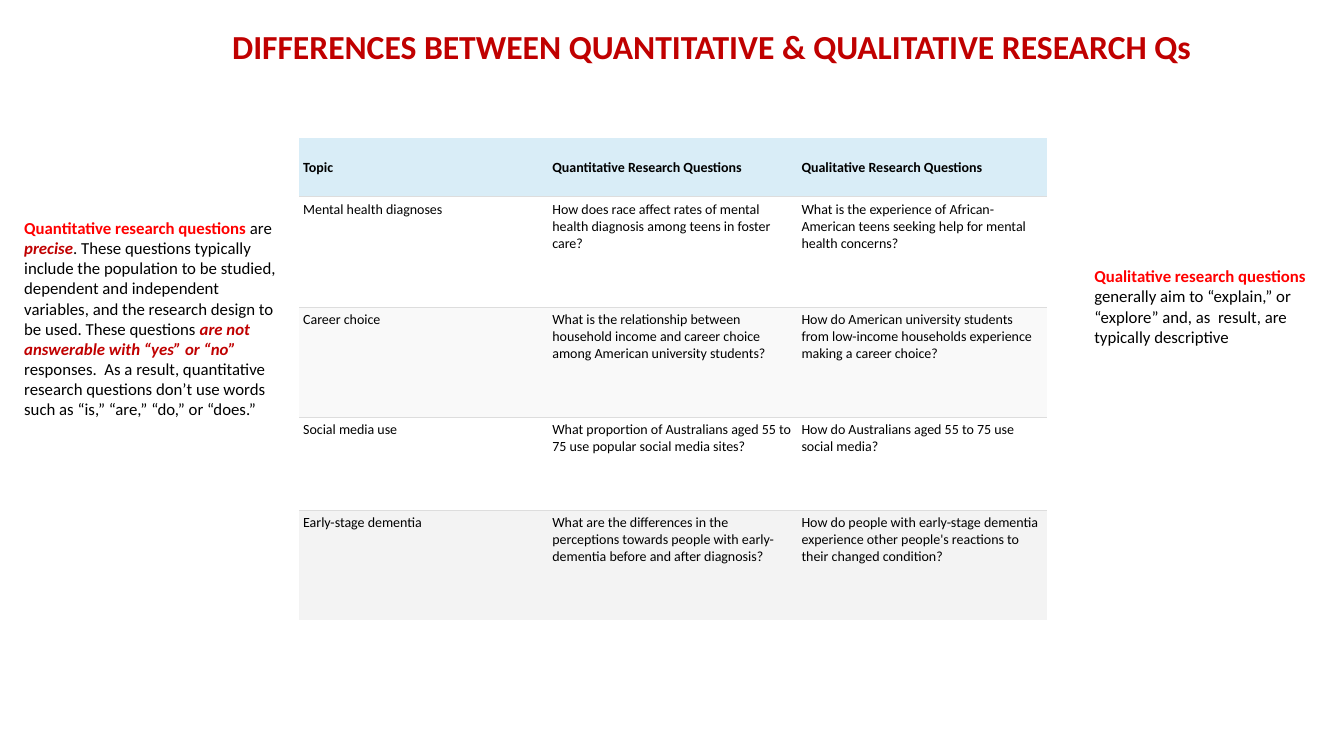
import pptx
import pptx.util
import pptx.dml.color
import pptx.enum.text
import pptx.oxml.ns
import lxml.etree

Cm = pptx.util.Cm
RED, DARK, BLACK, LINE = "FF0000", "C00000", "000000", "DDDDDD"


def color(code):
    return pptx.dml.color.RGBColor.from_string(code)


def write(para, text, size=12, fill=BLACK, bold=False, slant=False):
    run = para.add_run()
    run.text = text
    font = run.font
    font.name, font.size = "Calibri", pptx.util.Pt(size)
    font.bold, font.italic = bold, slant
    font.color.rgb = color(fill)


def edge(cell, sides):
    """Draw a thin line on the given sides (T, B) and none on the others."""
    qn = pptx.oxml.ns.qn
    props = cell._tc.get_or_add_tcPr()
    for spot, side in enumerate("LRTB"):
        line = lxml.etree.Element(qn(f"a:ln{side}"), w="7620")
        if side in sides:
            fill = lxml.etree.SubElement(line, qn("a:solidFill"))
            lxml.etree.SubElement(fill, qn("a:srgbClr"), val=LINE)
        else:
            lxml.etree.SubElement(line, qn("a:noFill"))
        props.insert(spot, line)


class Page:
    def __init__(self, deck):
        self.shapes = deck.slides.add_slide(deck.slide_layouts[6]).shapes
        self.inset = Cm(0.1)

    def text(self, left, top, width, height, runs, wrap=True):
        box = self.shapes.add_textbox(Cm(left), Cm(top), Cm(width), Cm(height))
        frame = box.text_frame
        frame.word_wrap = wrap
        for words, style in runs:
            write(frame.paragraphs[0], words, **style)

    def table(self, left, top, width, heights, fills, rows):
        count = len(rows[0])
        table = self.shapes.add_table(
            len(rows), count, Cm(left), Cm(top), Cm(width), Cm(sum(heights))
        ).table
        table.horz_banding = False
        for col in table.columns:
            col.width = Cm(width / count)
        for r, words in enumerate(rows):
            table.rows[r].height = Cm(heights[r])
            sides = ("T" if r else "") + ("B" if r < len(rows) - 1 else "")
            for c, text in enumerate(words):
                self.cell(table.cell(r, c), text, fills[r], sides, r == 0)

    def cell(self, cell, text, fill, sides, head):
        anchor = pptx.enum.text.MSO_ANCHOR
        cell.fill.solid()
        cell.fill.fore_color.rgb = color(fill)
        cell.margin_left = cell.margin_right = self.inset
        cell.margin_top = cell.margin_bottom = self.inset
        cell.vertical_anchor = anchor.MIDDLE if head else anchor.TOP
        write(cell.text_frame.paragraphs[0], text, size=10, bold=head)
        edge(cell, sides)


def main():
    deck = pptx.Presentation()
    deck.slide_width, deck.slide_height = Cm(33.87), Cm(19.05)
    page = Page(deck)
    lead = dict(fill=RED, bold=True)
    stress = dict(fill=DARK, bold=True, slant=True)

    page.table(
        7.54, 3.48, 18.84,
        heights=[1.48, 2.78, 2.78, 2.33, 2.78],
        fills=["D9EDF7", "FFFFFF", "F9F9F9", "FFFFFF", "F3F3F3"],
        rows=[
            ("Topic", "Quantitative Research Questions",
             "Qualitative Research Questions"),
            ("Mental health diagnoses",
             "How does race affect rates of mental health diagnosis among "
             "teens in foster care?",
             "What is the experience of African-American teens seeking help "
             "for mental health concerns?"),
            ("Career choice",
             "What is the relationship between household income and career "
             "choice among American university students?",
             "How do American university students from low-income households "
             "experience making a career choice?"),
            ("Social media use",
             "What proportion of Australians aged 55 to 75 use popular social "
             "media sites?",
             "How do Australians aged 55 to 75 use social media?"),
            ("Early-stage dementia",
             "What are the differences in the perceptions towards people with "
             "early-dementia before and after diagnosis?",
             "How do people with early-stage dementia experience other "
             "people's reactions to their changed condition?"),
        ],
    )
    page.text(5.6, 0.54, 24.91, 1.28, [
        ("DIFFERENCES BETWEEN QUANTITATIVE & QUALITATIVE RESEARCH Qs",
         dict(size=24, fill=DARK, bold=True)),
    ], wrap=False)
    page.text(0.36, 5.36, 6.99, 5.38, [
        ("Quantitative research questions ", lead),
        ("are ", {}),
        ("precise", stress),
        (". These questions typically include the population to be studied, "
         "dependent and independent variables, and the research design to be "
         "used. These questions ", {}),
        ("are not answerable with “yes” or “no” ", stress),
        ("responses.  As a result, quantitative research questions don’t use "
         "words such as “is,” “are,” “do,” or “does.”", {}),
    ])
    page.text(27.33, 6.58, 6.35, 2.31, [
        ("Qualitative research questions ", lead),
        ("generally aim to “explain,” or “explore” and, as  result, are "
         "typically descriptive", {}),
    ])
    deck.save("out.pptx")


if __name__ == "__main__":
    main()
